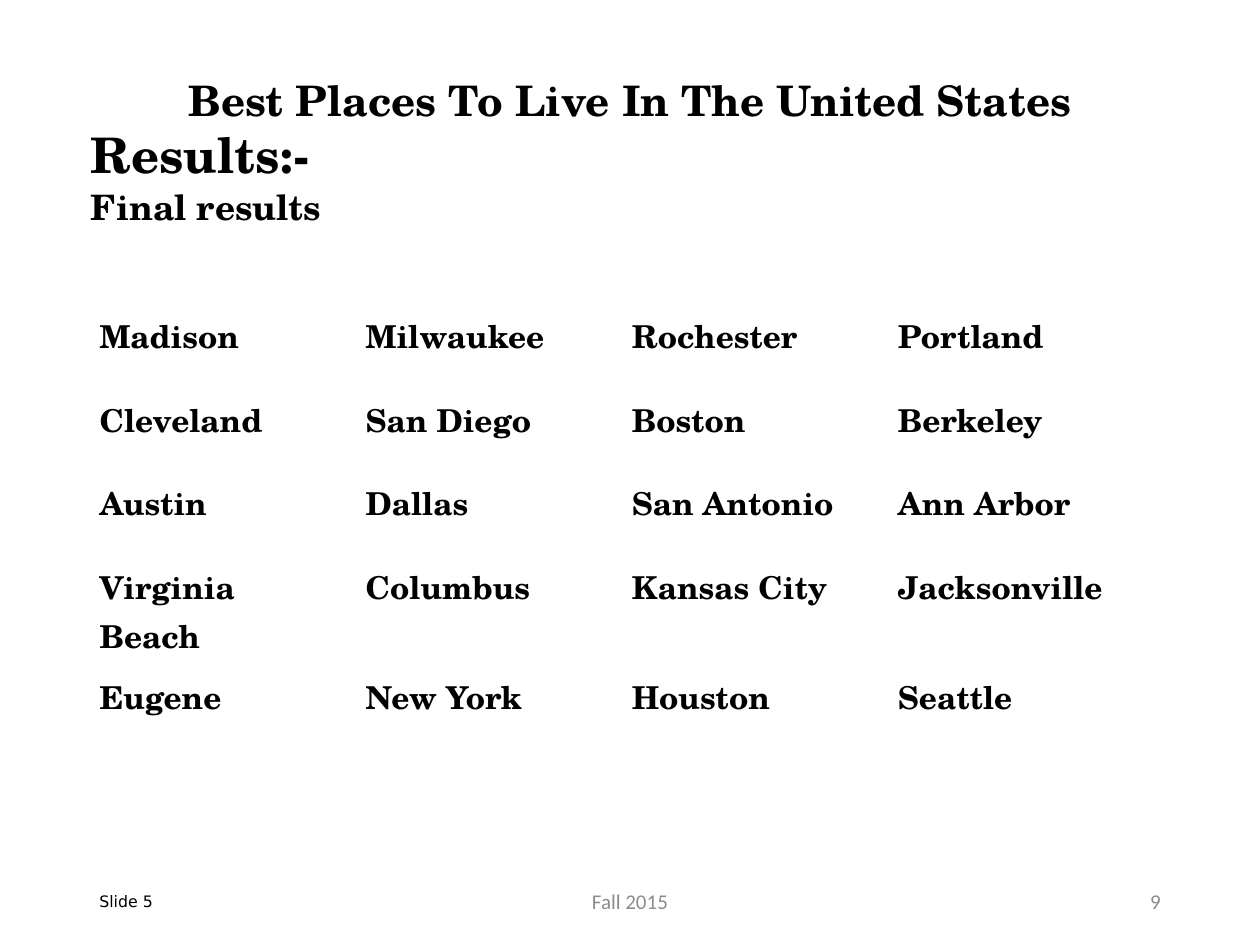
from pptx import Presentation
from pptx.dml.color import RGBColor
from pptx.enum.text import MSO_ANCHOR as Anchor, MSO_AUTO_SIZE as AutoSize, PP_ALIGN as Align
from pptx.util import Inches, Pt
from lxml.etree import SubElement
from pptx.oxml.ns import qn

COLORS = {"text": "000000", "footer": "8C8C8C"}
SERIF = "TeX Gyre Schola"
CITIES = [
    ["Madison", "Milwaukee", "Rochester", "Portland"],
    ["Cleveland", "San Diego", "Boston", "Berkeley"],
    ["Austin", "Dallas", "San Antonio", "Ann Arbor"],
    ["Virginia Beach", "Columbus", "Kansas City", "Jacksonville"],
    ["Eugene", "New York", "Houston", "Seattle"],
]


def write(para, text, size, font=SERIF, color="text", bold=True):
    span = para.add_run()
    span.text = text
    for name, value in {"size": Pt(size), "name": font, "bold": bold}.items():
        setattr(span.font, name, value)
    span.font.color.rgb = RGBColor.from_string(COLORS[color])


def place(shape, left, top, width, height):
    shape.left, shape.top = Inches(left), Inches(top)
    shape.width, shape.height = Inches(width), Inches(height)


deck = Presentation()
deck.slide_width, deck.slide_height = Inches(10), Inches(7.5)
page = deck.slides.add_slide(deck.slide_layouts[1])

# Title
title = page.shapes.title
place(title, 0.69, 0.4, 8.62, 0.84)
title.text_frame.vertical_anchor = Anchor.MIDDLE
title.text_frame.auto_size = AutoSize.NONE
para = title.text_frame.paragraphs[0]
para.alignment, para.line_spacing = Align.CENTER, 0.9
write(para, "Best Places To Live In The United States", 24)

# Headings above the table
body = page.placeholders[1]
place(body, 0.62, 0.81, 8.51, 6.27)
frame = body.text_frame
frame.auto_size = AutoSize.NONE
frame.margin_top = Inches(0.3)
for index, (text, size) in enumerate([("Results:-", 28), ("Final results", 20)]):
    para = frame.add_paragraph() if index else frame.paragraphs[0]
    para.line_spacing = 0.72
    para.space_before = Pt(8 if index else 0)
    props = para._p.get_or_add_pPr()
    props.set("marL", "0")
    props.set("indent", "0")
    SubElement(props, qn("a:buNone"))
    write(para, text, size)

# City table
table = page.shapes.add_table(len(CITIES), len(CITIES[0]), Inches(0.69), Inches(2.42),
                              Inches(8.45), Inches(3.33)).table
table.first_row = table.horz_banding = False
for row, names in enumerate(CITIES):
    for column, city in enumerate(names):
        cell = table.cell(row, column)
        cell.fill.background()
        write(cell.text_frame.paragraphs[0], city, 18)

# Footer
for text, left, width, align, size, font, color in [
    ("Slide 5", 0.69, 2.25, Align.LEFT, 9, "DejaVu Sans", "text"),
    ("Fall 2015", 3.31, 3.38, Align.CENTER, 12, "Calibri", "footer"),
    ("9", 7.06, 2.25, Align.RIGHT, 12, "Calibri", "footer"),
]:
    box = page.shapes.add_textbox(Inches(left), Inches(6.95), Inches(width), Inches(0.4))
    box.text_frame.word_wrap = True
    box.text_frame.vertical_anchor = Anchor.MIDDLE
    para = box.text_frame.paragraphs[0]
    para.alignment = align
    write(para, text, size, font, color, bold=False)

deck.save("out.pptx")
